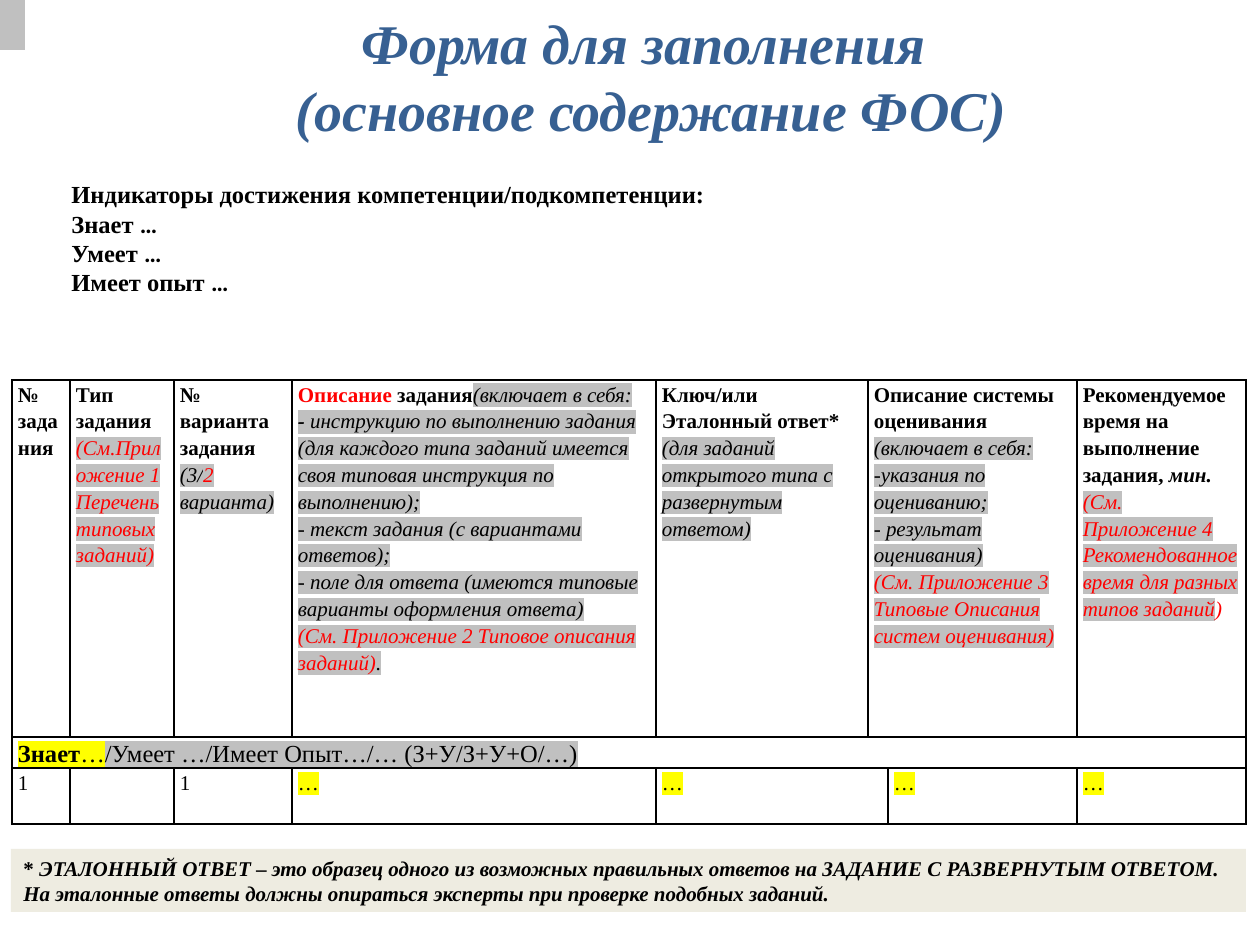
from lxml import etree
from pptx import Presentation
from pptx.dml.color import RGBColor
from pptx.enum.shapes import MSO_SHAPE
from pptx.enum.text import MSO_ANCHOR, MSO_AUTO_SIZE, PP_ALIGN
from pptx.oxml.ns import qn
from pptx.util import Pt

RECTANGLE = MSO_SHAPE.RECTANGLE
MIDDLE, TOP = MSO_ANCHOR.MIDDLE, MSO_ANCHOR.TOP
CENTER, LEFT = PP_ALIGN.CENTER, PP_ALIGN.LEFT
NO_AUTOFIT, FIT_SHAPE = MSO_AUTO_SIZE.NONE, MSO_AUTO_SIZE.SHAPE_TO_FIT_TEXT

EMU_PER_PX = 914400 / 126
SERIF, SANS = "Times New Roman", "Calibri"
COLORS = {"black": "000000", "red": "FF0000", "title": "376092",
          "gray": "C0C0C0", "yellow": "FFFF00", "note": "EEECE1"}

HEAD = {"bold": True}
HEAD_RED = {"bold": True, "color": "red"}
HINT = {"italic": True, "highlight": "gray"}
HINT_RED = {**HINT, "color": "red"}
MARK = {"highlight": "yellow"}
GROUP = {"size": 14}

COLUMN_WIDTHS = [58, 104, 118, 364, 212, 20, 189, 169]
ROW_HEIGHTS = [357, 31, 56]
MERGES = [(0, 5, 6), (1, 0, 7), (2, 4, 5)]
CELLS = {
    (0, 0): [[("№ задания", HEAD)]],
    (0, 1): [[("Тип задания ", HEAD),
              ("(См.Приложение 1 Переченьтиповых заданий)", HINT_RED)]],
    (0, 2): [[("№ варианта задания", HEAD)],
             [("(3/", HINT), ("2 ", HINT_RED), ("варианта)", HINT)]],
    (0, 3): [[("Описание", HEAD_RED), (" задания", HEAD), ("(включает в себя:", HINT)],
             [("- ", {**HINT, "bold": True}),
              ("инструкцию по выполнению задания (для каждого типа заданий "
               "имеется своя типовая инструкция по выполнению);", HINT)],
             [("- текст задания (с вариантами ответов);", HINT)],
             [("- поле для ответа (имеются типовые варианты оформления ответа)", HINT)],
             [("(См. Приложение 2 Типовое описания заданий)", HINT_RED), (".", HINT)]],
    (0, 4): [[("Ключ/или", HEAD)],
             [("Эталонный ответ* ", HEAD),
              ("(для заданий открытого типа с развернутым ответом)", HINT)]],
    (0, 5): [[("Описание системы оценивания", HEAD)],
             [("(включает в себя:", HINT)],
             [("-указания по оцениванию;", HINT)],
             [("- результат оценивания)", HINT)],
             [("(См. Приложение 3 Типовые Описания систем оценивания)", HINT_RED)]],
    (0, 7): [[("Рекомендуемое время на выполнение", HEAD)],
             [("задания, ", HEAD), ("мин.", {"bold": True, "italic": True})],
             [("(См. Приложение 4", HINT_RED)],
             [("Рекомендованное время для разных типов заданий", HINT_RED),
              (")", {"italic": True, "color": "red"})]],
    (1, 0): [[("Знает", {**GROUP, **MARK, "bold": True}), ("…", {**GROUP, **MARK}),
              ("/Умеет …/Имеет Опыт…/… (З+У/З+У+О/…)", {**GROUP, "highlight": "gray"})]],
    (2, 0): [[("1", {})]],
    (2, 2): [[("1", {})]],
    **{(2, column): [[("…", MARK)]] for column in (3, 4, 6, 7)},
}


def px(length):
    """Turn pixels into EMU."""
    return round(length * EMU_PER_PX)


def add_text(paragraph, text, size=12, color="black", font=SERIF,
             bold=False, italic=False, highlight=None):
    """Append a formatted run to a paragraph."""
    run = paragraph.add_run()
    run.text = text
    run.font.size = Pt(size)
    run.font.name = font
    run.font.bold = bold
    run.font.italic = italic
    run.font.color.rgb = RGBColor.from_string(COLORS[color])
    if highlight:
        marker = etree.Element(qn("a:highlight"))
        etree.SubElement(marker, qn("a:srgbClr"), val=COLORS[highlight])
        run.font.fill._xPr.find(qn("a:solidFill")).addnext(marker)


def fill_frame(frame, paragraphs, align=LEFT, spacing=None):
    """Write paragraphs, each a list of (text, format) pairs, into a text frame."""
    for index, runs in enumerate(paragraphs):
        paragraph = frame.add_paragraph() if index else frame.paragraphs[0]
        paragraph.alignment = align
        if spacing:
            paragraph.line_spacing = spacing
        for text, style in runs:
            add_text(paragraph, text, **style)


def add_block(slide, box, color):
    """Add a plain filled rectangle."""
    block = slide.shapes.add_shape(RECTANGLE, *map(px, box))
    block.shadow.inherit = False
    block.fill.solid()
    block.fill.fore_color.rgb = RGBColor.from_string(COLORS[color])
    block.line.fill.background()
    return block


def fill_title(slide, box):
    """Place the two-line heading in the title placeholder."""
    title = slide.shapes.title
    title.left, title.top, title.width, title.height = map(px, box)
    frame = title.text_frame
    frame.auto_size = NO_AUTOFIT
    frame.vertical_anchor = MIDDLE
    style = {"size": 32, "color": "title", "bold": True, "italic": True}
    lines = ["Форма для заполнения ", "(основное содержание ФОС)"]
    fill_frame(frame, [[(line, style)] for line in lines], CENTER)


def add_indicators(slide, box):
    """Add the list of competence indicators."""
    frame = slide.shapes.add_textbox(*map(px, box)).text_frame
    frame.word_wrap = True
    frame.auto_size = FIT_SHAPE
    style = {"size": 14, "bold": True}
    levels = [[(level, style), ("…", {**style, "font": SANS})]
              for level in ("Знает ", "Умеет ", "Имеет опыт ")]
    heading = "Индикаторы достижения компетенции/подкомпетенции:"
    fill_frame(frame, [[(heading, style)], *levels])


def add_borders(cell):
    """Give a cell thin black borders on all sides."""
    properties = cell._tc.get_or_add_tcPr()
    for index, side in enumerate(("lnL", "lnR", "lnT", "lnB")):
        line = etree.Element(qn(f"a:{side}"), w=str(Pt(1)))
        solid = etree.SubElement(line, qn("a:solidFill"))
        etree.SubElement(solid, qn("a:srgbClr"), val=COLORS["black"])
        properties.insert(index, line)


def add_task_table(slide, left, top):
    """Add the form with its header, group and task rows."""
    size = (sum(COLUMN_WIDTHS), sum(ROW_HEIGHTS))
    table = slide.shapes.add_table(len(ROW_HEIGHTS), len(COLUMN_WIDTHS),
                                   *map(px, (left, top, *size))).table
    table.first_row = table.horz_banding = False
    for column, width in zip(table.columns, COLUMN_WIDTHS):
        column.width = px(width)
    for row, height in zip(table.rows, ROW_HEIGHTS):
        row.height = px(height)
    for cell in table.iter_cells():
        cell.fill.background()
        add_borders(cell)
    for row, first, last in MERGES:
        table.cell(row, first).merge(table.cell(row, last))
    for position, paragraphs in CELLS.items():
        cell = table.cell(*position)
        cell.margin_left = cell.margin_right = px(6)
        cell.margin_top = cell.margin_bottom = 0
        fill_frame(cell.text_frame, paragraphs, spacing=1.15)


def add_footnote(slide, box):
    """Add the shaded note about the reference answer."""
    frame = add_block(slide, box, "note").text_frame
    frame.word_wrap = False
    frame.auto_size = FIT_SHAPE
    frame.vertical_anchor = TOP
    style = {"bold": True, "italic": True}
    fill_frame(frame, [
        [("* ", HEAD),
         ("ЭТАЛОННЫЙ ОТВЕТ – это образец одного из возможных правильных "
          "ответов на ЗАДАНИЕ С РАЗВЕРНУТЫМ ОТВЕТОМ.", style)],
        [("На эталонные ответы должны опираться эксперты при проверке "
          "подобных заданий.", style)],
    ])


def main():
    """Build the slide and save it."""
    deck = Presentation()
    deck.slide_width, deck.slide_height = px(1260), px(945)
    slide = deck.slides.add_slide(deck.slide_layouts[5])
    add_task_table(slide, 12, 380)
    add_block(slide, (0, 0, 25, 50), "gray")
    add_indicators(slide, (59, 173, 1142, 131))
    fill_title(slide, (21, 6, 1260, 139))
    add_footnote(slide, (11, 849, 1235, 63))
    deck.save("out.pptx")


if __name__ == "__main__":
    main()
